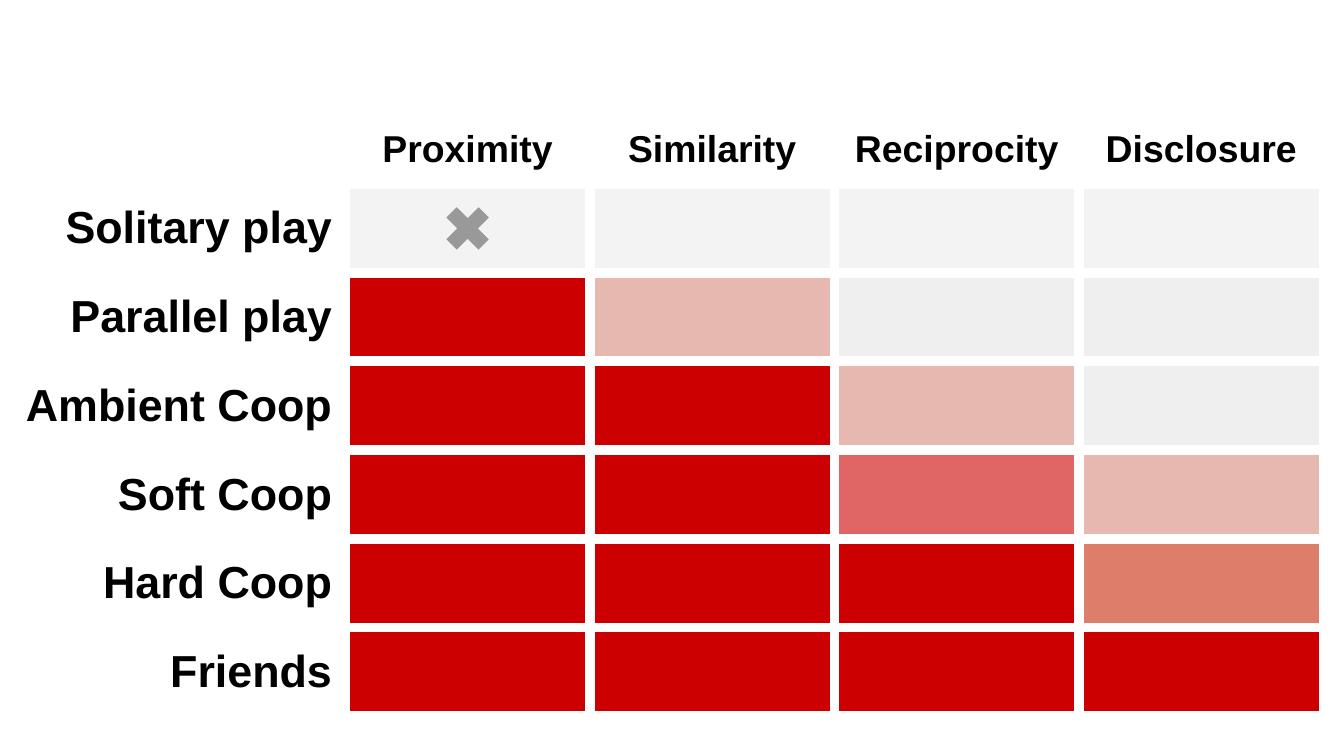
import pptx
import pptx.dml.color
import pptx.enum.shapes
import pptx.enum.text
import pptx.oxml
import pptx.oxml.ns
import pptx.util
from pptx.util import Inches

COLORS = {
    "white": "FFFFFF",
    "text": "000000",
    "cross": "999999",
    "unused": "F3F3F3",
    "absent": "EFEFEF",
    "weak": "E6B8AF",
    "partial": "E06666",
    "strong": "DD7E6B",
    "full": "CC0000",
}
FACTORS = ["Proximity", "Similarity", "Reciprocity", "Disclosure"]
LEVELS = {
    "Solitary play": ["unused"] * 4,
    "Parallel play": ["full", "weak", "absent", "absent"],
    "Ambient Coop": ["full", "full", "weak", "absent"],
    "Soft Coop": ["full", "full", "partial", "weak"],
    "Hard Coop": ["full", "full", "full", "strong"],
    "Friends": ["full"] * 4,
}
PAGE_WIDTH = 10
PAGE_HEIGHT = PAGE_WIDTH * 9 / 16
LEFT, TOP = 0.08, 0.46
LABEL_WIDTH, FACTOR_WIDTH = 2.49, 1.82
HEADER_HEIGHT, LEVEL_HEIGHT = 0.91, 0.66
CROSS_SIZE = 0.46


def paint(fill, color):
    fill.solid()
    fill.fore_color.rgb = pptx.dml.color.RGBColor.from_string(COLORS[color])


def set_borders(cell, color, points):
    properties = cell._tc.get_or_add_tcPr()
    for position, side in enumerate(["lnL", "lnR", "lnT", "lnB"]):
        line = pptx.oxml.parse_xml(
            f'<a:{side} {pptx.oxml.ns.nsdecls("a")} w="{pptx.util.Pt(points)}">'
            f'<a:solidFill><a:srgbClr val="{COLORS[color]}"/></a:solidFill></a:{side}>'
        )
        properties.insert(position, line)


def write_cell(cell, text, *, size, align, anchor):
    cell.vertical_anchor = anchor
    para = cell.text_frame.paragraphs[0]
    para.alignment = align
    span = para.add_run()
    span.text = text
    span.font.name = "Arial"
    span.font.size = pptx.util.Pt(size)
    span.font.bold = True
    span.font.color.rgb = pptx.dml.color.RGBColor.from_string(COLORS["text"])


def add_grid(page):
    rows, columns = len(LEVELS) + 1, len(FACTORS) + 1
    width = LABEL_WIDTH + FACTOR_WIDTH * len(FACTORS)
    height = HEADER_HEIGHT + LEVEL_HEIGHT * len(LEVELS)
    table = page.shapes.add_table(
        rows, columns, Inches(LEFT), Inches(TOP), Inches(width), Inches(height)
    ).table
    table.first_row = False
    table.horz_banding = False
    for index, column in enumerate(table.columns):
        column.width = Inches(FACTOR_WIDTH if index else LABEL_WIDTH)
    for index, row in enumerate(table.rows):
        row.height = Inches(LEVEL_HEIGHT if index else HEADER_HEIGHT)
    for cell in table.iter_cells():
        cell.margin_left = cell.margin_right = Inches(0.1)
        cell.margin_top = cell.margin_bottom = Inches(0.1)
        set_borders(cell, "white", 6)
        cell.fill.background()
    return table


def fill_grid(table):
    align = pptx.enum.text.PP_ALIGN
    anchor = pptx.enum.text.MSO_ANCHOR
    for column, factor in enumerate(FACTORS, 1):
        write_cell(table.cell(0, column), factor, size=20,
                   align=align.CENTER, anchor=anchor.BOTTOM)
    for row, (level, strengths) in enumerate(LEVELS.items(), 1):
        write_cell(table.cell(row, 0), level, size=24,
                   align=align.RIGHT, anchor=anchor.MIDDLE)
        for column, strength in enumerate(strengths, 1):
            paint(table.cell(row, column).fill, strength)


def add_cross(page, center_x, center_y):
    cross = page.shapes.add_shape(
        pptx.enum.shapes.MSO_SHAPE.MATH_MULTIPLY,
        Inches(center_x - CROSS_SIZE / 2), Inches(center_y - CROSS_SIZE / 2),
        Inches(CROSS_SIZE), Inches(CROSS_SIZE),
    )
    cross.adjustments[0] = 0.235
    cross.shadow.inherit = False
    paint(cross.fill, "cross")
    cross.line.fill.background()


def main():
    deck = pptx.Presentation()
    deck.slide_width, deck.slide_height = Inches(PAGE_WIDTH), Inches(PAGE_HEIGHT)
    page = deck.slides.add_slide(deck.slide_layouts[6])
    paint(page.background.fill, "white")
    fill_grid(add_grid(page))
    add_cross(page, LEFT + LABEL_WIDTH + FACTOR_WIDTH / 2,
              TOP + HEADER_HEIGHT + LEVEL_HEIGHT / 2)
    deck.save("out.pptx")


if __name__ == "__main__":
    main()
